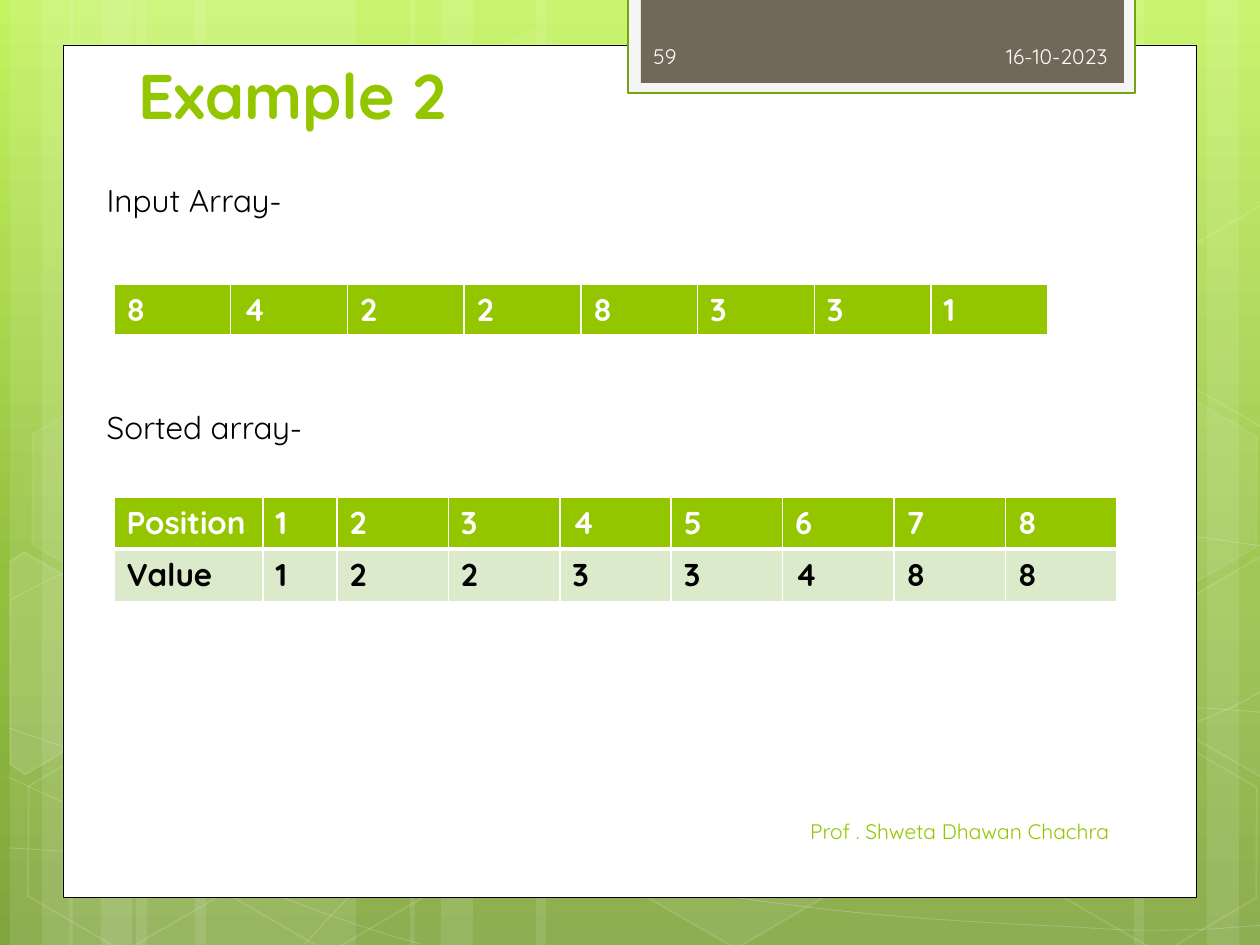
from copy import deepcopy
from math import cos, radians, sin
from lxml import etree
from pptx import Presentation
from pptx import util as u
from pptx.dml.color import RGBColor
from pptx.enum import shapes, text
from pptx.oxml.ns import qn

PX = 7257  # EMU in one px, 126 px to the inch
FONT = "Quicksand"
TILT = 30
HUE = {"white": "FFFFFF", "black": "000000", "green": "94C600", "pale": "DCEACC",
       "edge": "74A510", "frame": "F5F5F5", "brown": "71685A", "light": "FEFEFE",
       "top": "C3F35F", "mid": "93BF3F", "low": "81A53E"}


def paint(shape, fill, line=None, width=1, alpha=100, glow=100):
    """Set fill and outline; alpha and glow are their opacities in percent."""
    shape.shadow.inherit = False
    for part, hue, amount in ((shape.fill, fill, alpha), (shape.line.fill, line, glow)):
        if not hue:
            part.background()
            continue
        part.solid()
        part.fore_color.rgb = RGBColor.from_string(HUE[hue])
        if amount < 100:
            props = shape._element.spPr
            root = props if part is shape.fill else props.find(qn("a:ln"))
            color = root.find(qn("a:solidFill"))[0]
            etree.SubElement(color, qn("a:alpha"), val=str(amount * 1000))
    if line:
        shape.line.width = u.Pt(width)


def write(para, words, size, hue, bold=False):
    run = para.add_run()
    run.text = words
    run.font.name = FONT
    run.font.size = u.Pt(size)
    run.font.bold = bold
    run.font.color.rgb = RGBColor.from_string(HUE[hue])


prs = Presentation()
prs.slide_width, prs.slide_height = u.Inches(10), u.Inches(7.5)
slide = prs.slides.add_slide(prs.slide_layouts[1])
tree = slide.shapes

# Background gradient
back = slide.background.fill
back.gradient()
back.gradient_angle = 270
stops = next(slide._element.iter(qn("a:gsLst")))
stops.append(deepcopy(stops[-1]))
for stop, hue, place in zip(back.gradient_stops, ("top", "mid", "low"), (0, 0.62, 1)):
    stop.color.rgb = RGBColor.from_string(HUE[hue])
    stop.position = place

# Pale vertical bars
bars = [(136, 220), (10, 63), (42, 105), (195, 220), (69, 63), (101, 105),
        (924, 220), (1207, 63), (1134, 105), (536, 388), (410, 63), (441, 105)]
for left, width in bars:
    bar = tree.add_shape(shapes.MSO_SHAPE.RECTANGLE, left * PX, 0, width * PX, 945 * PX)
    paint(bar, "white", alpha=10)

# Thin curves: a start point, then three points for each cubic piece
curves = [
    [(9, 848), (77, 852), (145, 856), (239, 854), (334, 853), (451, 851), (577, 838),
     (703, 825), (882, 801), (998, 777), (1113, 753), (1231, 717), (1269, 685)],
    [(9, 601), (45, 581), (82, 562), (152, 543), (226, 524), (326, 496), (437, 488),
     (549, 479), (685, 478), (824, 488), (963, 498), (1193, 537), (1269, 547)],
    [(8, 777), (160, 847), (311, 916), (421, 944)],
    [(9, 728), (48, 742), (88, 756), (161, 776), (234, 795), (344, 827), (450, 848),
     (554, 869), (687, 892), (791, 905), (896, 919), (1008, 924), (1075, 927),
     (1140, 932), (1158, 930), (1191, 930), (1223, 929), (1246, 926), (1269, 925)],
    [(305, 944), (328, 919), (350, 893), (381, 871), (412, 848), (454, 823), (489, 805),
     (524, 788), (546, 780), (592, 767), (638, 755), (722, 737), (766, 728),
     (811, 719), (818, 719), (857, 717), (896, 713), (958, 709), (1000, 708),
     (1045, 707), (1116, 708), (1116, 708), (1144, 708), (1173, 708), (1201, 708),
     (1223, 709), (1245, 711), (1256, 712), (1268, 713), (1264, 712), (1268, 713)],
]
for nodes in curves:
    path = tree.build_freeform(*nodes[0], scale=PX)
    path.add_line_segments(nodes[1:], close=False)
    curve = path.convert_to_shape()
    paint(curve, None, "white", 0.5, glow=20)
    # Join each three straight segments into one cubic segment
    lines = list(curve._element.iter(qn("a:lnTo")))
    for first in range(0, len(lines), 3):
        cubic = etree.Element(qn("a:cubicBezTo"))
        lines[first].addprevious(cubic)
        for line in lines[first:first + 3]:
            cubic.append(line[0])
            line.getparent().remove(line)

# Hexagons: left, top, fill opacity, line opacity
for left, top, alpha, glow in [(421, 45, 4, 8), (626, 742, 6, 12), (14, 745, 0, 12),
                               (18, 393, 7, 8), (219, 746, 0, 12), (949, 571, 10, 12),
                               (1051, 747, 0, 12), (1051, 396, 7, 8)]:
    hexa = tree.add_shape(shapes.MSO_SHAPE.HEXAGON, left * PX, top * PX, 220 * PX, 192 * PX)
    hexa.adjustments[0] = 0.285
    hexa.rotation = TILT
    paint(hexa, "white" if alpha else None, "white", 1, alpha, glow)

# Hexagons cut off by the slide edges: fill opacity, centre, corners as they show
cuts = [(10, (45, 674),
         [(10, 561), (24, 552), (121, 607), (120, 718), (25, 774), (10, 765)]),
        (4, (1241, 655),
         [(1167, 611), (1261, 556), (1271, 562), (1271, 772), (1263, 777), (1167, 722)]),
        (0, (1241, 304),
         [(1167, 261), (1261, 205), (1273, 212), (1271, 422), (1263, 427), (1167, 372)])]
co, si = cos(radians(TILT)), sin(radians(TILT))
for alpha, (midx, midy), nodes in cuts:
    flat = [(midx + (x - midx) * co + (y - midy) * si,
             midy + (y - midy) * co - (x - midx) * si) for x, y in nodes]
    path = tree.build_freeform(*flat[0], scale=PX)
    path.add_line_segments(flat[1:], close=True)
    cut = path.convert_to_shape()
    cut.rotation = TILT
    paint(cut, "white" if alpha else None, "white", 1, alpha, 12)

# White page and header tab
for at, fill, line, width in [((63, 45, 1134, 853), "white", "black", 0.5),
                              ((628, -2, 507, 95), "frame", "edge", 1.25),
                              ((641, -2, 483, 85), "brown", None, 0)]:
    panel = tree.add_shape(shapes.MSO_SHAPE.RECTANGLE, *(v * PX for v in at))
    paint(panel, fill, line, width)

# Title and the two labels, lifted above the page
title, body = slide.placeholders
for holder, at in ((title, (126, 65, 968, 73)), (body, (94, 175, 1111, 394))):
    holder.left, holder.top, holder.width, holder.height = (v * PX for v in at)
    holder.text_frame.auto_size = text.MSO_AUTO_SIZE.NONE
    tree._spTree.append(holder._element)
title.text_frame.vertical_anchor = text.MSO_ANCHOR.BOTTOM
head = title.text_frame.paragraphs[0]
head.alignment = text.PP_ALIGN.LEFT
write(head, "Example 2", 36, "green", True)

frame = body.text_frame
for label, gap in (("Input Array-", 0), ("Sorted array-", 108)):
    para = frame.add_paragraph() if gap else frame.paragraphs[0]
    props = para._p.get_or_add_pPr()
    props.set("marL", "0")
    props.set("indent", "0")
    etree.SubElement(props, qn("a:buNone"))
    para.space_before = u.Pt(gap)
    write(para, label, 18, "black")

# Tables: top, column widths, rows
ROW = 51
grids = [(284, [934 / 8] * 8, ["84228331"]),
         (497, [149, 74] + [780 / 7] * 7,
          [["Position", *"12345678"], ["Value", *"12233488"]])]
for top, widths, rows in grids:
    holder = tree.add_table(len(rows), len(widths), 114 * PX, top * PX,
                            round(sum(widths) * PX), len(rows) * ROW * PX)
    table = holder.table
    for col, width in zip(table.columns, widths):
        col.width = round(width * PX)
    for r, row in enumerate(rows):
        table.rows[r].height = ROW * PX
        for c, words in enumerate(row):
            cell = table.cell(r, c)
            props = cell._tc.get_or_add_tcPr()
            for side in "LRTB":
                thick = (side == "B" and r == 0) or (side == "T" and r == 1)
                edge = etree.SubElement(props, qn("a:ln" + side),
                                        w=str(u.Pt(3 if thick else 1)))
                ink = etree.SubElement(edge, qn("a:solidFill"))
                etree.SubElement(ink, qn("a:srgbClr"), val=HUE["white"])
            cell.fill.solid()
            cell.fill.fore_color.rgb = RGBColor.from_string(HUE["pale" if r else "green"])
            write(cell.text_frame.paragraphs[0], words, 18, "black" if r else "white", True)

# Date, author and slide number
for words, at, hue, side in [("16-10-2023", (827, 31, 293, 50), "light", "RIGHT"),
                             ("Prof . Shweta Dhawan Chachra", (639, 806, 483, 50), "green", "RIGHT"),
                             ("59", (641, 31, 184, 50), "light", "LEFT")]:
    note = tree.add_textbox(*(v * PX for v in at)).text_frame
    note.word_wrap = True
    note.vertical_anchor = text.MSO_ANCHOR.MIDDLE
    note.paragraphs[0].alignment = text.PP_ALIGN[side]
    write(note.paragraphs[0], words, 12, hue)

prs.save("out.pptx")
